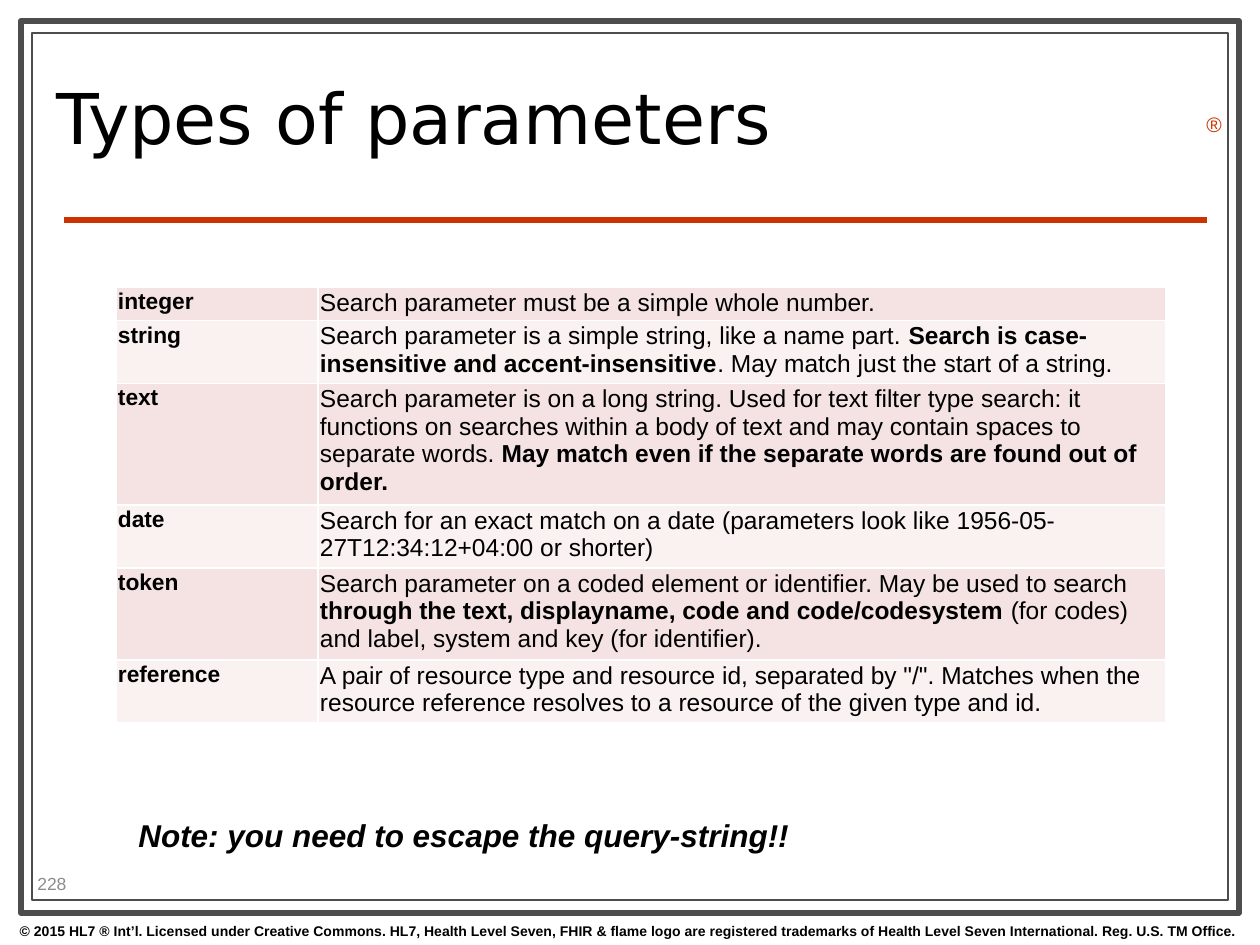
from pptx import Presentation
from pptx.dml.color import RGBColor
from pptx.enum.shapes import MSO_CONNECTOR, MSO_SHAPE
from pptx.enum.text import MSO_ANCHOR, PP_ALIGN
from pptx.oxml import parse_xml
from pptx.oxml.ns import nsdecls, qn
from pptx.util import Emu, Pt

EMU_PER_PX = 914400 / 126
FRAME_GRAY, ACCENT, BLACK, WHITE = "4D4D4D", "CC3300", "000000", "FFFFFF"
BAND_FILLS = ("F4E3E2", "FAF1F1")
COLUMN_WIDTHS = (202, 848)

# Name, row height in px, description; ** switches bold on and off.
PARAMETERS = [
    ("integer", 31, "Search parameter must be a simple whole number."),
    ("string", 60, "Search parameter is a simple string, like a name part. "
     "**Search is case-insensitive and accent-insensitive**. "
     "May match just the start of a string."),
    ("text", 114, "Search parameter is on a long string. Used for text filter type search: "
     "it functions on searches within a body of text and may contain spaces to "
     "separate words. **May match even if the separate words are found out of order.**"),
    ("date", 60, "Search for an exact match on a date (parameters look like "
     "1956-05-27T12:34:12+04:00 or shorter)"),
    ("token", 87, "Search parameter on a coded element or identifier. May be used to search "
     "**through the text, displayname, code and code/codesystem** (for codes) "
     "and label, system and key (for identifier)."),
    ("reference", 59, "A pair of resource type and resource id, separated by \"/\". "
     "Matches when the resource reference resolves to a resource of the given type and id."),
]
COPYRIGHT = ("© 2015 HL7 ® Int’l. Licensed under Creative Commons. HL7, Health Level Seven, "
             "FHIR & flame logo are registered trademarks of Health Level Seven "
             "International. Reg. U.S. TM Office.")


def px(length):
    return Emu(round(length * EMU_PER_PX))


def color(hex_value):
    return RGBColor.from_string(hex_value)


def set_all(target, values):
    for name, value in values.items():
        setattr(target, name, value)


def add_span(para, text, size, hex_value=BLACK, name="Arial", **font_values):
    span = para.add_run()
    span.text = text
    set_all(span.font, {"size": Pt(size), "name": name, **font_values})
    span.font.color.rgb = color(hex_value)


def add_text(page, bounds, text, size, frame=None, paragraph=None, **font_values):
    box = page.shapes.add_textbox(*map(px, bounds))
    set_all(box.text_frame, {"word_wrap": True, **(frame or {})})
    para = box.text_frame.paragraphs[0]
    set_all(para, paragraph or {})
    add_span(para, text, size, **font_values)


def add_frame(page, bounds, line_width):
    frame = page.shapes.add_shape(MSO_SHAPE.RECTANGLE, *map(px, bounds))
    frame.shadow.inherit = False
    frame.fill.solid()
    frame.fill.fore_color.rgb = color(WHITE)
    frame.line.color.rgb = color(FRAME_GRAY)
    frame.line.width = Pt(line_width)


def add_rule(page, left, right, top):
    rule = page.shapes.add_connector(MSO_CONNECTOR.STRAIGHT, px(left), px(top), px(right), px(top))
    rule.line.color.rgb = color(ACCENT)
    rule.line.width = Pt(3)
    rule._element.spPr.append(parse_xml(f"<a:effectLst {nsdecls('a')}/>"))


def add_borders(cell):
    properties = cell._tc.get_or_add_tcPr()
    for side in "LRTB":
        properties.append(parse_xml(
            f'<a:ln{side} {nsdecls("a")} w="{Pt(1)}"><a:solidFill>'
            f'<a:srgbClr val="{WHITE}"/></a:solidFill></a:ln{side}>'))


def fill_cell(cell, marked_text, size, fill):
    """Style a cell and write its text, with ** switching bold."""
    margins = ("margin_left", "margin_right", "margin_top", "margin_bottom")
    set_all(cell, dict.fromkeys(margins, px(2)))
    add_borders(cell)
    cell.fill.solid()
    cell.fill.fore_color.rgb = color(fill)
    para = cell.text_frame.paragraphs[0]
    for index, text in enumerate(marked_text.split("**")):
        if text:
            add_span(para, text, size, bold=index % 2 == 1)


def add_parameter_table(page, left, top):
    height = sum(row_height for _, row_height, _ in PARAMETERS)
    table = page.shapes.add_table(len(PARAMETERS), len(COLUMN_WIDTHS), px(left), px(top),
                                  px(sum(COLUMN_WIDTHS)), px(height)).table
    set_all(table, {"first_row": False, "horz_banding": False})
    for column, width in zip(table.columns, COLUMN_WIDTHS):
        column.width = px(width)
    for index, (name, row_height, description) in enumerate(PARAMETERS):
        table.rows[index].height = px(row_height)
        fill = BAND_FILLS[index % 2]
        fill_cell(table.cell(index, 0), f"**{name}**", 13, fill)
        fill_cell(table.cell(index, 1), description, 14, fill)


def main():
    deck = Presentation()
    set_all(deck, {"slide_width": px(1260), "slide_height": px(945)})
    page = deck.slides.add_slide(deck.slide_layouts[6])
    middle = {"vertical_anchor": MSO_ANCHOR.MIDDLE}

    add_frame(page, (21, 21, 1218, 892), 3.5)
    add_frame(page, (32, 33, 1196, 867), 0.75)
    add_rule(page, 64, 1207, 220)
    add_text(page, (-1, 916, 1260, 29), COPYRIGHT, 8,
             paragraph={"alignment": PP_ALIGN.CENTER}, bold=True)
    add_text(page, (1194, 105, 39, 38), "®", 12, hex_value=ACCENT)
    add_text(page, (44, 45, 903, 159), "Types of parameters", 40, frame=middle,
             paragraph={"line_spacing": 0.8}, name="DejaVu Sans")
    add_parameter_table(page, 116, 287)
    add_text(page, (25, 868, 100, 30), "228", 10, frame=middle, hex_value="8C8C8C")
    add_text(page, (126, 810, 683, 50), "Note: you need to escape the query-string!!", 18,
             frame={"word_wrap": False}, bold=True, italic=True)
    deck.save("out.pptx")


if __name__ == "__main__":
    main()
